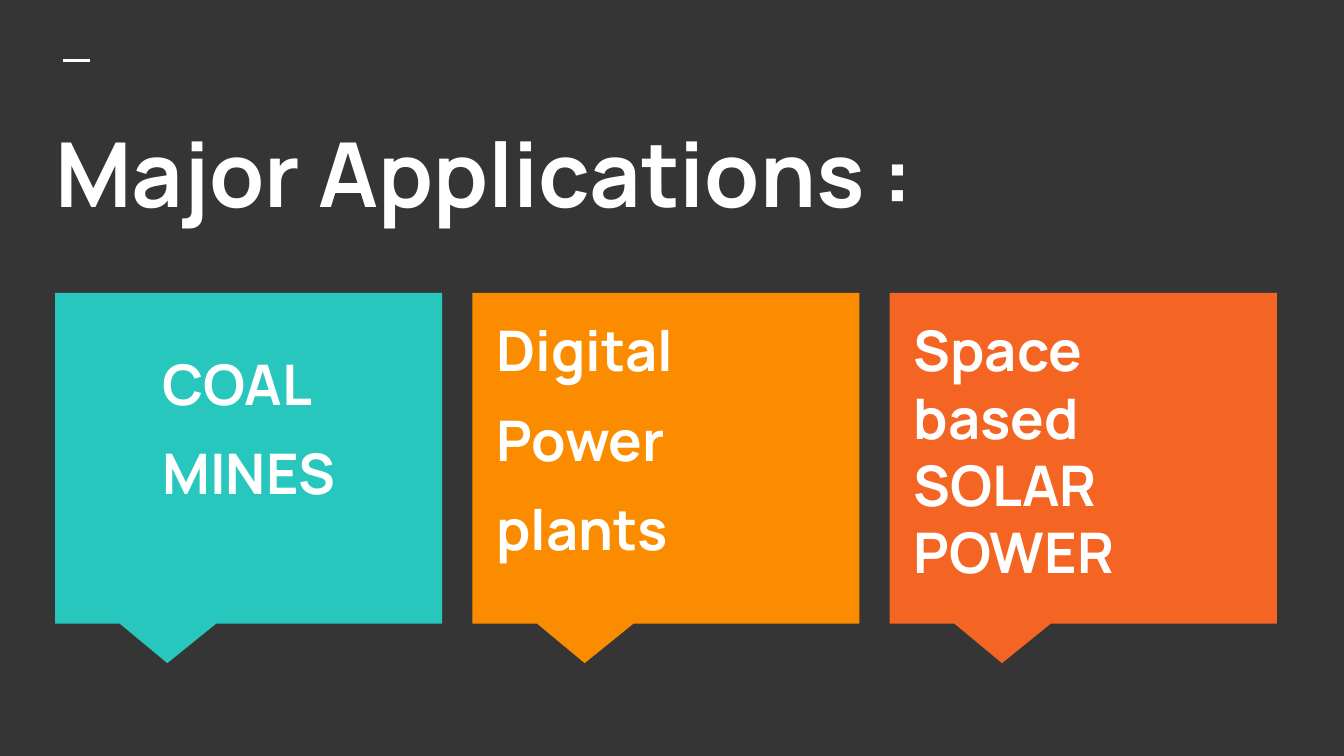
from dataclasses import dataclass

from lxml import etree
from pptx import Presentation
from pptx.dml.color import RGBColor
from pptx.enum.shapes import MSO_CONNECTOR, MSO_SHAPE
from pptx.enum.text import MSO_ANCHOR, MSO_AUTO_SIZE, PP_ALIGN
from pptx.oxml.ns import qn
from pptx.util import Inches, Pt

STRAIGHT = MSO_CONNECTOR.STRAIGHT
CALLOUT = MSO_SHAPE.RECTANGULAR_CALLOUT
TOP = MSO_ANCHOR.TOP
NO_AUTOFIT = MSO_AUTO_SIZE.NONE
LEFT = PP_ALIGN.LEFT
TITLE_ONLY = 5


@dataclass(frozen=True)
class Theme:
    font: str = "Manrope"
    background: RGBColor = RGBColor(0x35, 0x35, 0x35)
    text: RGBColor = RGBColor(0xFF, 0xFF, 0xFF)
    teal: RGBColor = RGBColor(0x27, 0xC7, 0xBD)
    amber: RGBColor = RGBColor(0xFB, 0x8C, 0x00)
    orange: RGBColor = RGBColor(0xF4, 0x65, 0x24)
    title_size: Pt = Pt(48)
    label_size: Pt = Pt(30)
    paragraph_gap: Pt = Pt(12)


THEME = Theme()

# Card grid, in inches
CARD_LEFT, CARD_TOP, CARD_WIDTH, CARD_HEIGHT = 0.41, 2.18, 2.88, 2.46
LAST_CARD_LEFT = 6.62
LABEL_WIDTH, LABEL_HEIGHT = 2.71, 2.19

# Fill, label lines, label offset from the card's corner
APPLICATIONS = [
    (THEME.teal, ["COAL", "MINES"], (0.7, 0.32)),
    (THEME.amber, ["Digital", "Power", "plants"], (0.08, 0.07)),
    (THEME.orange, ["Space based SOLAR POWER"], (0.08, 0.07)),
]
CARD_PITCH = (LAST_CARD_LEFT - CARD_LEFT) / (len(APPLICATIONS) - 1)


def write_text(frame, lines, size):
    """Fill a text frame with bold, left-aligned, top-anchored paragraphs."""
    frame.text = "\n".join(lines)
    frame.word_wrap = True
    frame.auto_size = NO_AUTOFIT
    frame.vertical_anchor = TOP
    frame.margin_left = frame.margin_right = Inches(0.1)
    frame.margin_top = frame.margin_bottom = Inches(0.1)
    for index, paragraph in enumerate(frame.paragraphs):
        paragraph.alignment = LEFT
        paragraph.space_before = THEME.paragraph_gap if index else Pt(0)
        for run in paragraph.runs:
            run.font.name = THEME.font
            run.font.size = size
            run.font.bold = True
            run.font.color.rgb = THEME.text


def add_accent_line(slide):
    accent = slide.shapes.add_connector(
        STRAIGHT, Inches(0.47), Inches(0.45), Inches(0.67), Inches(0.45))
    accent.line.color.rgb = THEME.text
    accent.line.width = Pt(1.5)
    etree.SubElement(accent._element.spPr, qn("a:effectLst"))


def set_title(slide, wording):
    title = slide.shapes.title
    title.left, title.top = Inches(0.31), Inches(0.78)
    title.width, title.height = Inches(9.43), Inches(1.12)
    write_text(title.text_frame, [wording], THEME.title_size)


def add_card(slide, left, fill):
    card = slide.shapes.add_shape(
        CALLOUT, Inches(left), Inches(CARD_TOP),
        Inches(CARD_WIDTH), Inches(CARD_HEIGHT))
    # Pointer tip, relative to the card's centre
    card.adjustments[0] = -0.21
    card.adjustments[1] = 0.62
    card.fill.solid()
    card.fill.fore_color.rgb = fill
    card.line.fill.background()
    card.shadow.inherit = False


def add_label(slide, left, top, lines):
    label = slide.shapes.add_textbox(
        Inches(left), Inches(top), Inches(LABEL_WIDTH), Inches(LABEL_HEIGHT))
    write_text(label.text_frame, lines, THEME.label_size)


def main():
    # 16:9 slide
    presentation = Presentation()
    presentation.slide_width = Inches(10)
    presentation.slide_height = Inches(10) * 9 // 16
    slide = presentation.slides.add_slide(presentation.slide_layouts[TITLE_ONLY])
    slide.background.fill.solid()
    slide.background.fill.fore_color.rgb = THEME.background

    # Heading
    add_accent_line(slide)
    set_title(slide, "Major Applications :")

    # Application cards
    for column, (fill, lines, (dx, dy)) in enumerate(APPLICATIONS):
        left = CARD_LEFT + column * CARD_PITCH
        add_card(slide, left, fill)
        add_label(slide, left + dx, CARD_TOP + dy, lines)

    presentation.save("out.pptx")


if __name__ == "__main__":
    main()
